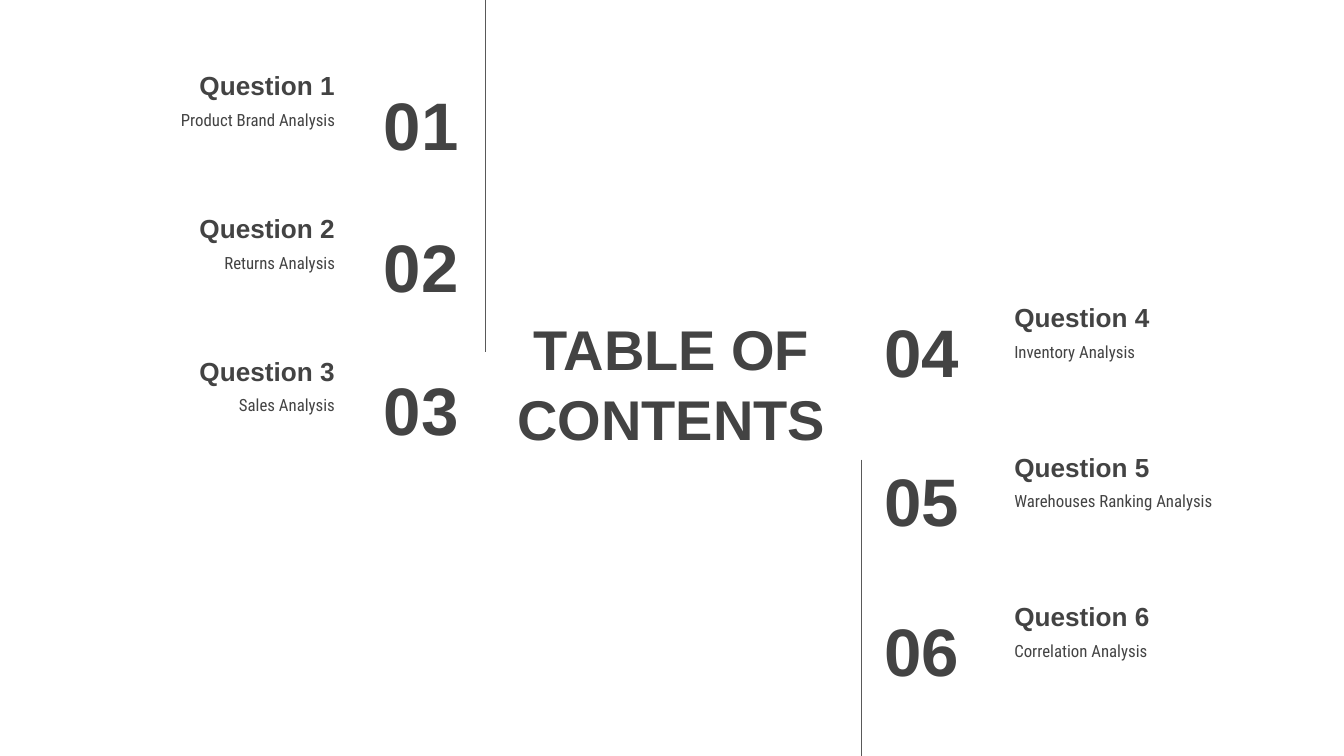
from lxml.etree import SubElement
from pptx import Presentation
from pptx.dml.color import RGBColor
from pptx.enum.shapes import MSO_CONNECTOR
from pptx.enum.text import MSO_ANCHOR as Anchor, MSO_AUTO_SIZE, PP_ALIGN as Align
from pptx.oxml.ns import qn
from pptx.util import Cm, Pt

DARK_GRAY = RGBColor(0x43, 0x43, 0x43)
LINE_GRAY = RGBColor(0x59, 0x59, 0x59)
HEADING_FONT = "Arial"
BODY_FONT = "Roboto Condensed"
ROW_HEIGHT = 1.6


def format_text(shape, text, size, align, anchor, font=HEADING_FONT, bold=True):
    frame = shape.text_frame
    frame.word_wrap = True
    frame.auto_size = MSO_AUTO_SIZE.NONE
    frame.vertical_anchor = anchor
    frame.margin_left = frame.margin_right = Cm(0.25)
    frame.margin_top = frame.margin_bottom = Cm(0.25)
    paragraph = frame.paragraphs[0]
    paragraph.text = text
    paragraph.alignment = align
    paragraph.font.name = font
    paragraph.font.size = Pt(size)
    paragraph.font.bold = bold
    paragraph.font.color.rgb = DARK_GRAY


def add_text(left, top, width, *text_format):
    shape = slide.shapes.add_textbox(Cm(left), Cm(top), Cm(width), Cm(ROW_HEIGHT))
    format_text(shape, *text_format)


presentation = Presentation()
presentation.slide_width = Cm(25.4)
presentation.slide_height = Cm(14.29)
slide = presentation.slides.add_slide(presentation.slide_layouts[5])

title = slide.shapes.title
title.left, title.top, title.width, title.height = Cm(9.4), Cm(5.9), Cm(6.58), Cm(2.62)
format_text(title, "TABLE OF CONTENTS", 30, Align.CENTER, Anchor.MIDDLE)
title.text_frame.paragraphs[0].line_spacing = 1.04

columns = [
    {"topics": ["Product Brand Analysis", "Returns Analysis", "Sales Analysis"],
     "align": Align.RIGHT, "top": 0.56, "step": 2.7, "number_offset": 0.97,
     "heading_left": 1.09, "topic_left": 1.93, "number_left": 5.85},
    {"topics": ["Inventory Analysis", "Warehouses Ranking Analysis", "Correlation Analysis"],
     "align": Align.LEFT, "top": 4.94, "step": 2.83, "number_offset": 0.88,
     "heading_left": 18.92, "topic_left": 18.92, "number_left": 16.46},
]
question = 0
for column in columns:
    align = column["align"]
    for row, topic in enumerate(column["topics"]):
        question += 1
        top = column["top"] + row * column["step"]
        add_text(column["heading_left"], top, 5.49,
                 f"Question {question}", 14, align, Anchor.BOTTOM)
        add_text(column["topic_left"], top + 1.26, 4.65,
                 topic, 9, align, Anchor.TOP, BODY_FONT, False)
        add_text(column["number_left"], top + column["number_offset"], 3.07,
                 f"{question:02}", 36, align, Anchor.MIDDLE)

for x, start, end in [(9.17, 0, 6.65), (16.28, 8.69, 14.29)]:
    divider = slide.shapes.add_connector(
        MSO_CONNECTOR.STRAIGHT, Cm(x), Cm(start), Cm(x), Cm(end))
    divider.line.color.rgb = LINE_GRAY
    divider.line.width = Pt(0.75)
    SubElement(divider._element.spPr, qn("a:effectLst"))

presentation.save("out.pptx")
